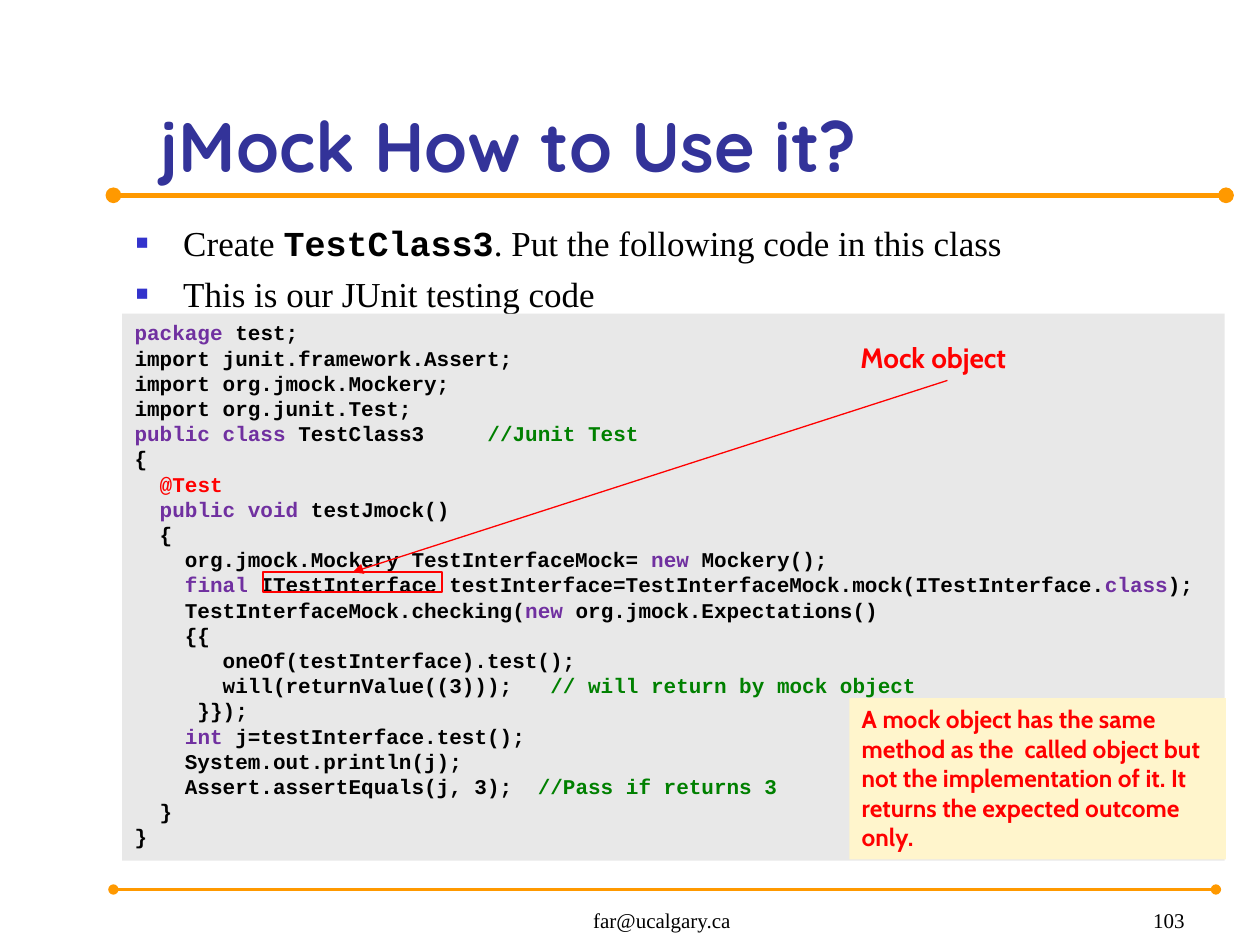
from dataclasses import dataclass
from typing import Any

from lxml import etree
from pptx import Presentation
from pptx.dml.color import RGBColor
from pptx.enum.shapes import MSO_CONNECTOR as CONN, MSO_SHAPE as SHAPE
from pptx.enum.text import MSO_ANCHOR as ANCHOR, MSO_AUTO_SIZE as FIT, PP_ALIGN as ALIGN
from pptx.oxml.ns import qn
from pptx.util import Pt

BLACK, RED, ORANGE = "000000", "FF0000", "FF9900"
KEYWORD, COMMENT = "7030A0", "008000"
SERIF, MONO, SANS, TITLE = "Times New Roman", "Courier New", "Cabin", "Quicksand"


def rgb(value):
    return RGBColor.from_string(value)


def key(text):
    return text, {"color": KEYWORD}


def note(text):
    return text, {"color": COMMENT}


@dataclass
class Deck:
    """Current slide and default text style."""
    s: Any
    font: str = SERIF
    size: float = 12
    color: str = BLACK
    bold: bool = False

    def run(self, p, text, **style):
        r = p.add_run()
        r.text = text
        f = r.font
        f.name = style.get("font", self.font)
        f.size = Pt(style.get("size", self.size))
        f.bold = style.get("bold", self.bold)
        f.color.rgb = rgb(style.get("color", self.color))

    def fill_text(self, sp, paras, align=ALIGN.LEFT, anchor=ANCHOR.TOP,
                  wrap=True, fit=FIT.NONE, bullet=None, gap=0, **style):
        """Write paragraphs; each is a list of strings or (string, style) runs."""
        tf = sp.text_frame
        tf.word_wrap, tf.auto_size, tf.vertical_anchor = wrap, fit, anchor
        for i, runs in enumerate(paras):
            p = tf.add_paragraph() if i else tf.paragraphs[0]
            p.alignment = align
            p.space_before = Pt(gap if i else 0)
            if bullet:
                self.bullet(p, bullet)
            for item in runs:
                text, extra = (item, {}) if isinstance(item, str) else item
                self.run(p, text, **{**style, **extra})

    def bullet(self, p, color):
        pPr = p._p.get_or_add_pPr()
        pPr.set("marL", str(Pt(27)))
        pPr.set("indent", str(-Pt(27)))
        clr = etree.SubElement(pPr, qn("a:buClr"))
        etree.SubElement(clr, qn("a:srgbClr"), val=color)
        etree.SubElement(pPr, qn("a:buSzPct"), val="60000")
        etree.SubElement(pPr, qn("a:buFont"), typeface="Arial")
        etree.SubElement(pPr, qn("a:buChar"), char="■")

    def text(self, box, paras, **opts):
        sp = self.s.shapes.add_textbox(*map(Pt, box))
        self.fill_text(sp, paras, **opts)

    def rect(self, box, fill=None, line=None, paras=(), **opts):
        sp = self.s.shapes.add_shape(SHAPE.RECTANGLE, *map(Pt, box))
        sp.shadow.inherit = False
        if fill:
            sp.fill.solid()
            sp.fill.fore_color.rgb = rgb(fill)
        else:
            sp.fill.background()
        if line:
            sp.line.color.rgb = rgb(line)
            sp.line.width = Pt(1)
        else:
            sp.line.fill.background()
        if paras:
            self.fill_text(sp, paras, **opts)

    def line(self, start, end, color, width, head=None, tail=None):
        c = self.s.shapes.add_connector(CONN.STRAIGHT, *map(Pt, start + end))
        c.line.color.rgb = rgb(color)
        c.line.width = Pt(width)
        ln = c.line._get_or_add_ln()
        for tag, kind in (("a:headEnd", head), ("a:tailEnd", tail)):
            if kind:
                etree.SubElement(ln, qn(tag), type=kind)
        etree.SubElement(c._element.spPr, qn("a:effectLst"))


CODE = [
    [key("package"), " test;"],
    ["import junit.framework.Assert;"],
    ["import org.jmock.Mockery;"],
    ["import org.junit.Test;"],
    [key("public class "), "TestClass3     ", note("//Junit Test")],
    ["{"],
    ["  ", ("@Test", {"color": RED})],
    ["  ", key("public void "), "testJmock()"],
    ["  {"],
    ["    org.jmock.Mockery TestInterfaceMock= ", key("new"), " Mockery();"],
    ["    ", key("final "),
     "ITestInterface testInterface=TestInterfaceMock.mock(ITestInterface.",
     key("class"), ");"],
    ["    TestInterfaceMock.checking(", key("new "), "org.jmock.Expectations()"],
    ["    {{"],
    ["       oneOf(testInterface).test();"],
    ["       will(returnValue((3)));   ", note("// will return by mock object")],
    ["     }});"],
    ["    ", key("int"), " j=testInterface.test();"],
    ["    System.out.println(j);"],
    ["    Assert.assertEquals(j, 3);  ", note("//Pass if returns 3")],
    ["  }"],
    ["}"],
]


def main():
    prs = Presentation()
    prs.slide_width, prs.slide_height = Pt(720), Pt(540)
    d = Deck(prs.slides.add_slide(prs.slide_layouts[6]))

    for y, right, width in ((111.6, 700.6, 3), (508.3, 694.8, 1.5)):
        d.line((64.8, y), (right, y), ORANGE, width, head="oval", tail="oval")
    d.text((84.2, 20.2, 620, 90), [["jMock How to Use it?"]], anchor=ANCHOR.BOTTOM,
           font=TITLE, size=40, color="333399", bold=True)
    d.text((70.6, 123.1, 630, 357),
           [["Create ", ("TestClass3", {"font": MONO, "bold": True}),
             ". Put the following code in this class"],
            ["This is our JUnit testing code"]],
           size=20, bullet="3333CC", gap=5)
    d.text((264.2, 504.7, 228.2, 31.7), [["far@ucalgary.ca"]],
           align=ALIGN.CENTER, anchor=ANCHOR.BOTTOM)
    d.text((534.2, 504.7, 149.8, 31.7), [["103"]],
           align=ALIGN.RIGHT, anchor=ANCHOR.BOTTOM)

    d.rect((69.8, 179.3, 630, 312.5), fill="E8E8E8", paras=CODE,
           fit=FIT.SHAPE_TO_FIT_TEXT, font=MONO, bold=True)

    callout = {"font": SANS, "color": RED, "bold": True,
               "fit": FIT.SHAPE_TO_FIT_TEXT}
    d.text((484.6, 190.8, 113, 26.6), [["Mock object"]], wrap=False, size=16, **callout)
    d.rect((150.5, 326.9, 102.2, 11.5), line=RED)
    d.line((541.4, 217.4), (201.6, 326.9), RED, 0.75, tail="triangle")
    d.rect((485.3, 398.9, 215.3, 92.2), fill="FFF5CC", size=14, **callout,
           paras=[["A mock object has the same method as the  called object but not "
                   "the implementation of it. It returns the expected outcome only."]])
    prs.save("out.pptx")


if __name__ == "__main__":
    main()
